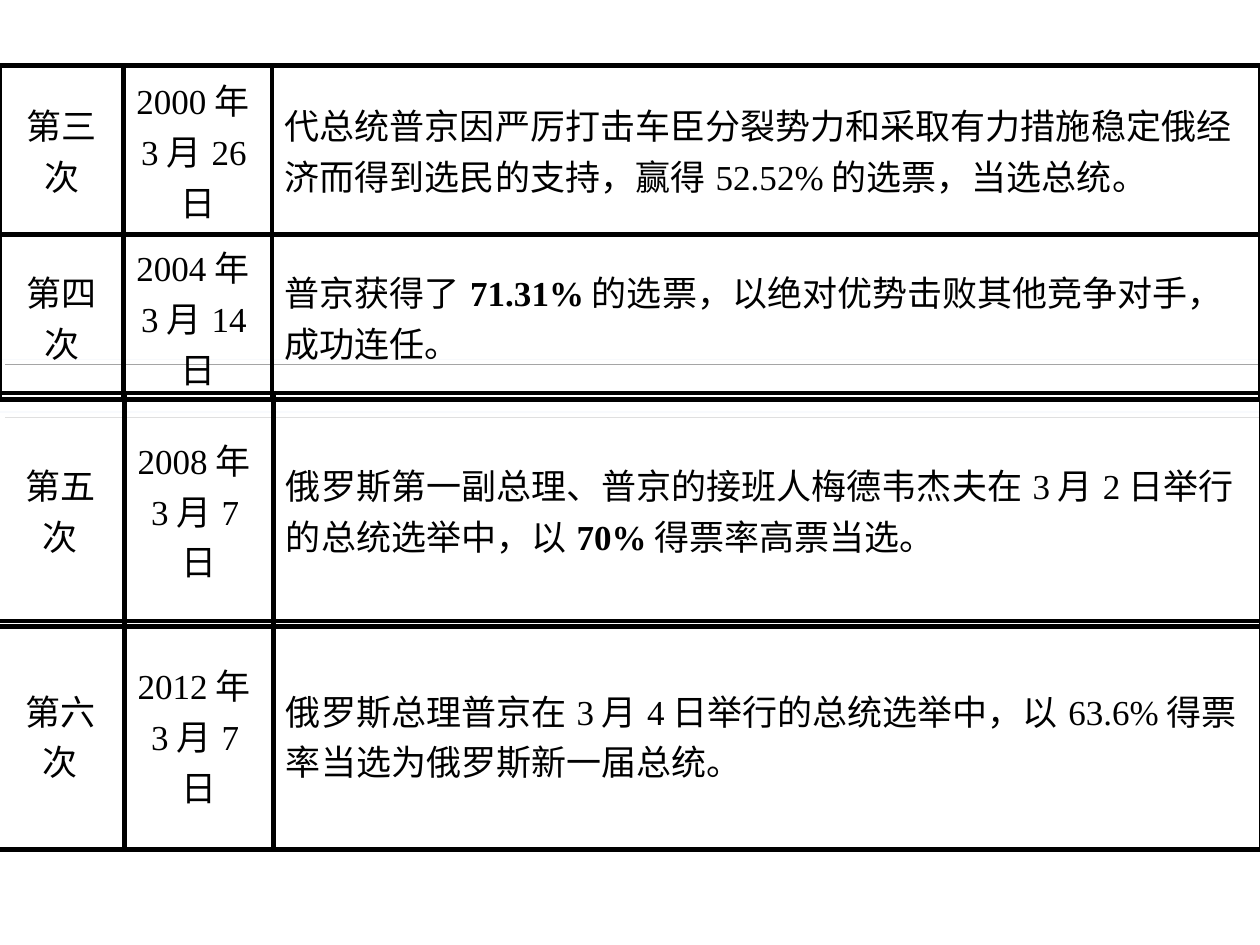
from lxml import etree
from pptx import Presentation
from pptx.dml.color import RGBColor
from pptx.enum import shapes, text
from pptx.oxml import parse_xml
from pptx.oxml.ns import qn
from pptx.util import Inches, Pt

COLORS = {"ink": "000000", "rule": "C8D8F2"}
FONT, SIZE = "Times New Roman", 20
NS = "http://schemas.openxmlformats.org/drawingml/2006/main"

# Content: left, top, height, first column width, right border, cells
# (a cell is a list of runs; each run is text and bold)
ELECTIONS = [
    (0, 1.86, 1.26, 0.98, 3, [
        [("第四次", False)], [("2004年3月14日", False)],
        [("普京获得了", False), ("71.31%", True),
         ("的选票，以绝对优势击败其他竞争对手，成功连任。", False)]]),
    (0, 0.52, 1.34, 0.98, 3, [
        [("第三次", False)], [("2000年3月26日", False)],
        [("代总统普京因严厉打击车臣分裂势力和采取有力措施稳定俄经济而得到选民的支持，"
          "赢得52.52%的选票，当选总统。", False)]]),
    (-0.03, 3.12, 1.85, 1.02, 2.25, [
        [("第五次", False)], [("2008年3月7日", False)],
        [("俄罗斯第一副总理、普京的接班人梅德韦杰夫在3月2日举行的总统选举中，以", False),
         ("70%", True), ("得票率高票当选。", False)]]),
    (-0.03, 4.93, 1.81, 1.02, 2.25, [
        [("第六次", False)], [("2012年3月7日", False)],
        [("俄罗斯总理普京在3月4日举行的总统选举中，以63.6%得票率当选为俄罗斯新一届总统。",
          False)]]),
]
DATE_W, RESULT_W = 1.18, 7.84
RULE_TOPS = [3.27, 2.85]


def set_borders(cell, right):
    tc_pr = cell._tc.get_or_add_tcPr()
    widths = {"lnL": 3, "lnR": right, "lnT": 3, "lnB": 3}
    for i, (side, width) in enumerate(widths.items()):
        ln = etree.Element(qn(f"a:{side}"), w=str(Pt(width)))
        fill = etree.SubElement(ln, qn("a:solidFill"))
        etree.SubElement(fill, qn("a:srgbClr"), val=COLORS["ink"])
        tc_pr.insert(i, ln)


def fill_cell(cell, runs, centred):
    cell.fill.background()
    cell.vertical_anchor = text.MSO_ANCHOR.MIDDLE
    p = cell.text_frame.paragraphs[0]
    p.alignment = text.PP_ALIGN.CENTER if centred else text.PP_ALIGN.LEFT
    for words, bold in runs:
        r = p.add_run()
        r.text = words
        r.font.name, r.font.size, r.font.bold = FONT, Pt(SIZE), bold
        r.font.color.rgb = RGBColor.from_string(COLORS["ink"])


prs = Presentation()
prs.slide_width, prs.slide_height = Inches(10), Inches(7.5)
s = prs.slides.add_slide(prs.slide_layouts[6])

# Flat rules with a soft offset shadow
for top in RULE_TOPS:
    sp = s.shapes.add_shape(shapes.MSO_SHAPE.RECTANGLE, 0, Inches(top), Inches(10), 0)
    sp.fill.solid()
    sp.fill.fore_color.rgb = RGBColor.from_string(COLORS["rule"])
    sp.line.fill.background()
    sp.shadow.inherit = False
    sp._element.spPr.find(qn("a:effectLst")).append(parse_xml(
        f'<a:outerShdw xmlns:a="{NS}" dist="{Pt(4.2)}" dir="2700000" algn="ctr" '
        f'rotWithShape="0"><a:srgbClr val="{COLORS["ink"]}"/></a:outerShdw>'))

# One single-row table per election
for left, top, height, first_w, right, cells in ELECTIONS:
    widths = [first_w, DATE_W, RESULT_W]
    table = s.shapes.add_table(1, len(widths), Inches(left), Inches(top),
                               Inches(sum(widths)), Inches(height)).table
    table.first_row = table.horz_banding = False
    for i, (width, runs) in enumerate(zip(widths, cells)):
        last = i == len(widths) - 1
        table.columns[i].width = Inches(width)
        fill_cell(table.cell(0, i), runs, centred=not last)
        set_borders(table.cell(0, i), right if last else 3)

prs.save("out.pptx")
